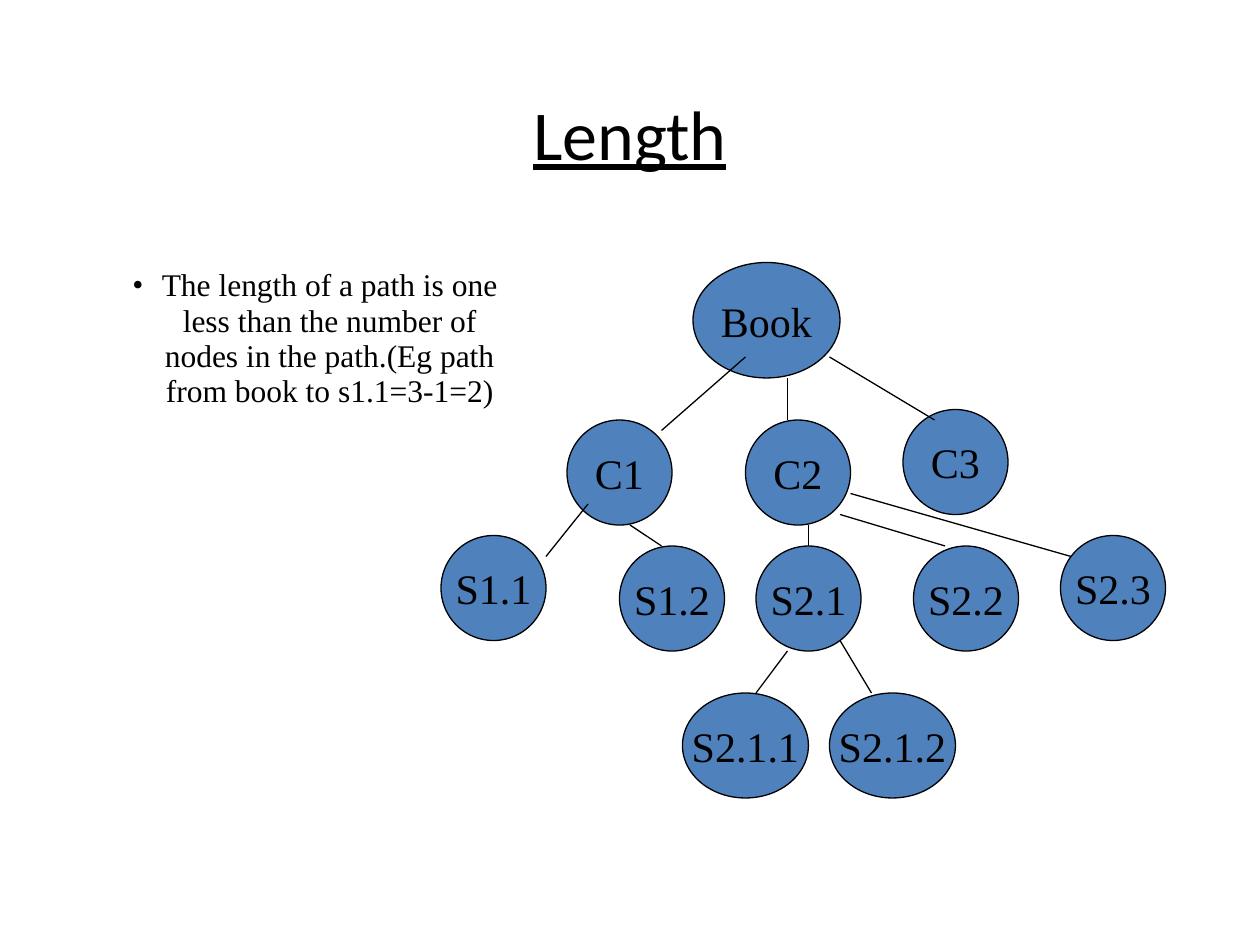
from dataclasses import dataclass

from lxml.etree import SubElement
from pptx import Presentation
from pptx.dml.color import RGBColor
from pptx.enum.shapes import MSO_CONNECTOR, MSO_SHAPE
from pptx.enum.text import MSO_ANCHOR, PP_ALIGN
from pptx.oxml.ns import qn
from pptx.util import Emu, Pt

PX = 7620  # EMU per px: 120 px to the inch


@dataclass(frozen=True)
class Theme:
    ink: RGBColor = RGBColor(0x00, 0x00, 0x00)
    node: RGBColor = RGBColor(0x4F, 0x81, 0xBD)
    title_font: str = "Calibri"
    body_font: str = "Times New Roman"
    title_size: int = 40
    body_size: int = 18
    node_size: int = 24
    line_width: float = 0.75


def px(*lengths):
    return [Emu(length * PX) for length in lengths]


def add_bullet(para, indent):
    properties = para._p.get_or_add_pPr()
    properties.set("marL", str(indent * PX))
    properties.set("indent", str(-indent * PX))
    SubElement(properties, qn("a:buFont"), typeface="Times New Roman")
    SubElement(properties, qn("a:buChar"), char="•")


def write(frame, text, *, font, size, color, underline=False, wrap=True,
          anchor=MSO_ANCHOR.TOP, spacing=None, bullet_indent=None):
    frame.word_wrap = wrap
    frame.vertical_anchor = anchor
    para = frame.paragraphs[0]
    para.alignment = PP_ALIGN.CENTER
    if spacing:
        para.line_spacing = spacing
    if bullet_indent:
        add_bullet(para, bullet_indent)
    span = para.add_run()
    span.text = text
    span.font.name = font
    span.font.size = Pt(size)
    span.font.color.rgb = color
    if underline:
        span.font.underline = True


class Sketch:
    def __init__(self, page, theme):
        self.page = page
        self.theme = theme

    def outline(self, line):
        line.color.rgb = self.theme.ink
        line.width = Pt(self.theme.line_width)

    def text(self, area, text, **style):
        box = self.page.shapes.add_textbox(*px(*area))
        write(box.text_frame, text, color=self.theme.ink, **style)

    def node(self, label, left, top, width=100, height=100):
        oval = self.page.shapes.add_shape(
            MSO_SHAPE.OVAL, *px(left, top, width, height))
        oval.shadow.inherit = False
        oval.fill.solid()
        oval.fill.fore_color.rgb = self.theme.node
        self.outline(oval.line)
        write(oval.text_frame, label, font=self.theme.body_font,
              size=self.theme.node_size, color=self.theme.ink,
              wrap=False, anchor=MSO_ANCHOR.MIDDLE)

    def edge(self, *ends):
        connector = self.page.shapes.add_connector(
            MSO_CONNECTOR.STRAIGHT, *px(*ends))
        self.outline(connector.line)
        SubElement(connector._element.spPr, qn("a:effectLst"))


# Label, left, top and, where it is not the usual circle, width and height
NODES = [
    ("Book", 660, 250, 140, 110),
    ("C1", 540, 400),
    ("C2", 710, 400),
    ("C3", 860, 390),
    ("S1.1", 420, 510),
    ("S1.2", 590, 520),
    ("S2.1", 720, 520),
    ("S2.2", 870, 520),
    ("S2.3", 1010, 510),
    ("S2.1.1", 650, 660, 120),
    ("S2.1.2", 790, 660, 120),
]

# Start x, y and end x, y of each branch
EDGES = [
    # Book to chapters
    (710, 340, 630, 410),
    (750, 360, 750, 400),
    (790, 340, 890, 400),
    # Chapters to sections
    (560, 480, 520, 530),
    (600, 500, 630, 520),
    (770, 500, 770, 520),
    (800, 490, 900, 520),
    (810, 470, 1020, 530),
    # Section 2.1 to its subsections
    (750, 620, 720, 660),
    (800, 610, 830, 660),
]


def main():
    deck = Presentation()
    deck.slide_width, deck.slide_height = px(1200, 900)
    theme = Theme()
    sketch = Sketch(deck.slides.add_slide(deck.slide_layouts[6]), theme)

    # Title and definition
    sketch.text((90, 80, 1020, 150), "Length", font=theme.title_font,
                size=theme.title_size, underline=True)
    sketch.text((100, 250, 400, 174),
                "The length of a path is one less than the number of nodes "
                "in the path.(Eg path from book to s1.1=3-1=2)",
                font=theme.body_font, size=theme.body_size,
                spacing=0.93, bullet_indent=28)

    # Tree
    for node in NODES:
        sketch.node(*node)
    for edge in EDGES:
        sketch.edge(*edge)

    deck.save("out.pptx")


if __name__ == "__main__":
    main()
